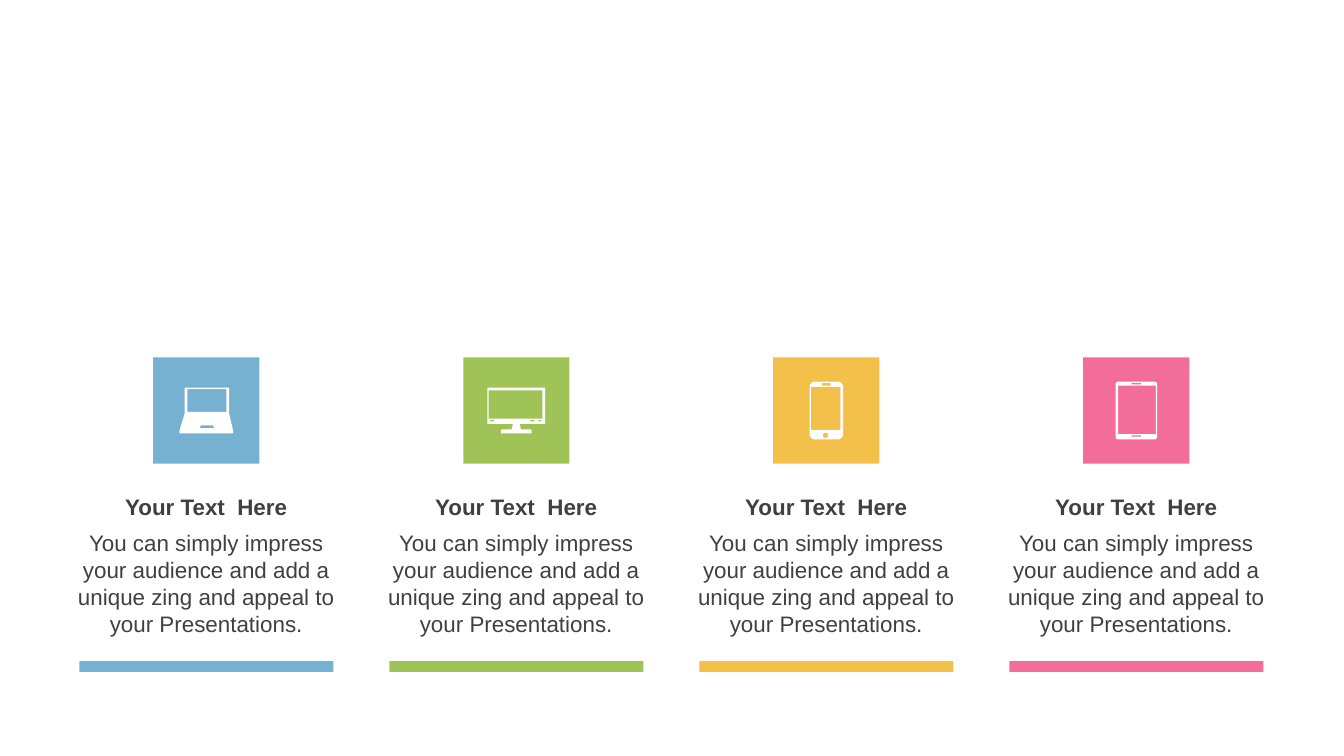
from math import cos, pi, sin

from pptx import Presentation
from pptx.dml.color import RGBColor
from pptx.enum.shapes import MSO_SHAPE
from pptx.enum.text import MSO_AUTO_SIZE, PP_ALIGN
from pptx.util import Inches, Pt

RECTANGLE = MSO_SHAPE.RECTANGLE
CENTER = PP_ALIGN.CENTER
GROW = MSO_AUTO_SIZE.SHAPE_TO_FIT_TEXT

TEXT_COLOR = "404040"
WHITE = "FFFFFF"
HEADING = "Your Text  Here"
BODY = (
    "You can simply impress your audience and add a unique zing "
    "and appeal to your Presentations."
)
SLIDE_WIDTH = 10
FIRST_LEFT, LAST_LEFT = 0.45, 7.37
COLUMN_TOP, COLUMN_WIDTH = 2.66, 2.17
TILE_SIZE = 0.79
BAR_WIDTH, BAR_HEIGHT = 1.89, 0.08


def paint(shape, color):
    shape.fill.solid()
    shape.fill.fore_color.rgb = RGBColor.from_string(color)
    shape.line.fill.background()
    shape.shadow.inherit = False


def box(left, top, width, height):
    right, bottom = left + width, top + height
    return [(left, top), (right, top), (right, bottom), (left, bottom)]


def rounded(left, top, width, height, radius, steps=6):
    right, bottom = left + width - radius, top + height - radius
    centers = [
        (right, bottom),
        (left + radius, bottom),
        (left + radius, top + radius),
        (right, top + radius),
    ]
    return [
        (x + radius * cos(angle), y + radius * sin(angle))
        for corner, (x, y) in enumerate(centers)
        for angle in [(corner + step / steps) * pi / 2 for step in range(steps + 1)]
    ]


LAPTOP = (0.4, 0.34, [
    [(0.04, 0), (0.37, 0), (0.37, 0.19), (0.4, 0.32),
     (0.4, 0.34), (0, 0.34), (0, 0.32), (0.04, 0.19)],
    box(0.06, 0.01, 0.29, 0.17),
    [(0.16, 0.28), (0.25, 0.28), (0.26, 0.3), (0.15, 0.3)],
])
MONITOR = (0.43, 0.34, [
    [(0, 0), (0.43, 0), (0.43, 0.27), (0.24, 0.27), (0.25, 0.31),
     (0.32, 0.31), (0.33, 0.32), (0.33, 0.34), (0.1, 0.34),
     (0.1, 0.32), (0.11, 0.31), (0.18, 0.31), (0.19, 0.27), (0, 0.27)],
    box(0.01, 0.02, 0.4, 0.21),
    box(0.02, 0.24, 0.03, 0.01),
    box(0.32, 0.24, 0.03, 0.01),
    box(0.38, 0.24, 0.02, 0.01),
])
PHONE = (0.25, 0.43, [
    rounded(0, 0, 0.25, 0.43, 0.04),
    box(0.01, 0.04, 0.22, 0.32),
    rounded(0.09, 0.01, 0.07, 0.02, 0.01),
    rounded(0.1, 0.38, 0.04, 0.04, 0.02),
])
TABLET = (0.31, 0.43, [
    rounded(0, 0, 0.31, 0.43, 0.02),
    box(0.02, 0.03, 0.28, 0.36),
    box(0.12, 0.01, 0.07, 0.01),
    box(0.12, 0.4, 0.07, 0.01),
])
COLUMNS = [
    ("76B1D1", LAPTOP),
    ("A0C358", MONITOR),
    ("F3C04A", PHONE),
    ("F26D9A", TABLET),
]


def add_bar(slide, left, top, width, height, color):
    bar = slide.shapes.add_shape(
        RECTANGLE, Inches(left), Inches(top), Inches(width), Inches(height)
    )
    paint(bar, color)


def add_icon(slide, center_x, center_y, device):
    width, height, contours = device
    left, top = center_x - width / 2, center_y - height / 2
    placed = [
        [(Inches(left + x), Inches(top + y)) for x, y in contour]
        for contour in contours
    ]
    builder = slide.shapes.build_freeform(*placed[0][0])
    for index, (start, *rest) in enumerate(placed):
        if index:
            builder.move_to(*start)
        builder.add_line_segments(rest, close=True)
    paint(builder.convert_to_shape(), WHITE)


def add_text(slide, left, top, width, height, wording, bold):
    frame = slide.shapes.add_textbox(
        Inches(left), Inches(top), Inches(width), Inches(height)
    ).text_frame
    frame.word_wrap = True
    frame.auto_size = GROW
    paragraph = frame.paragraphs[0]
    paragraph.text = wording
    paragraph.alignment = CENTER
    paragraph.font.name = "Arial"
    paragraph.font.size = Pt(12)
    paragraph.font.bold = bold
    paragraph.font.color.rgb = RGBColor.from_string(TEXT_COLOR)


def add_column(slide, left, top, width, color, device):
    center = left + width / 2
    add_bar(slide, center - TILE_SIZE / 2, top, TILE_SIZE, TILE_SIZE, color)
    add_icon(slide, center, top + TILE_SIZE / 2, device)
    add_text(slide, left, top + 0.96, width, 0.3, HEADING, True)
    add_text(slide, left, top + 1.23, width, 0.91, BODY, False)
    add_bar(slide, center - BAR_WIDTH / 2, top + 2.26, BAR_WIDTH, BAR_HEIGHT, color)


def main():
    presentation = Presentation()
    presentation.slide_width = Inches(SLIDE_WIDTH)
    presentation.slide_height = Inches(SLIDE_WIDTH * 9 / 16)
    slide = presentation.slides.add_slide(presentation.slide_layouts[6])
    pitch = (LAST_LEFT - FIRST_LEFT) / (len(COLUMNS) - 1)
    for index, (color, device) in enumerate(COLUMNS):
        left = FIRST_LEFT + index * pitch
        add_column(slide, left, COLUMN_TOP, COLUMN_WIDTH, color, device)
    presentation.save("out.pptx")


if __name__ == "__main__":
    main()
